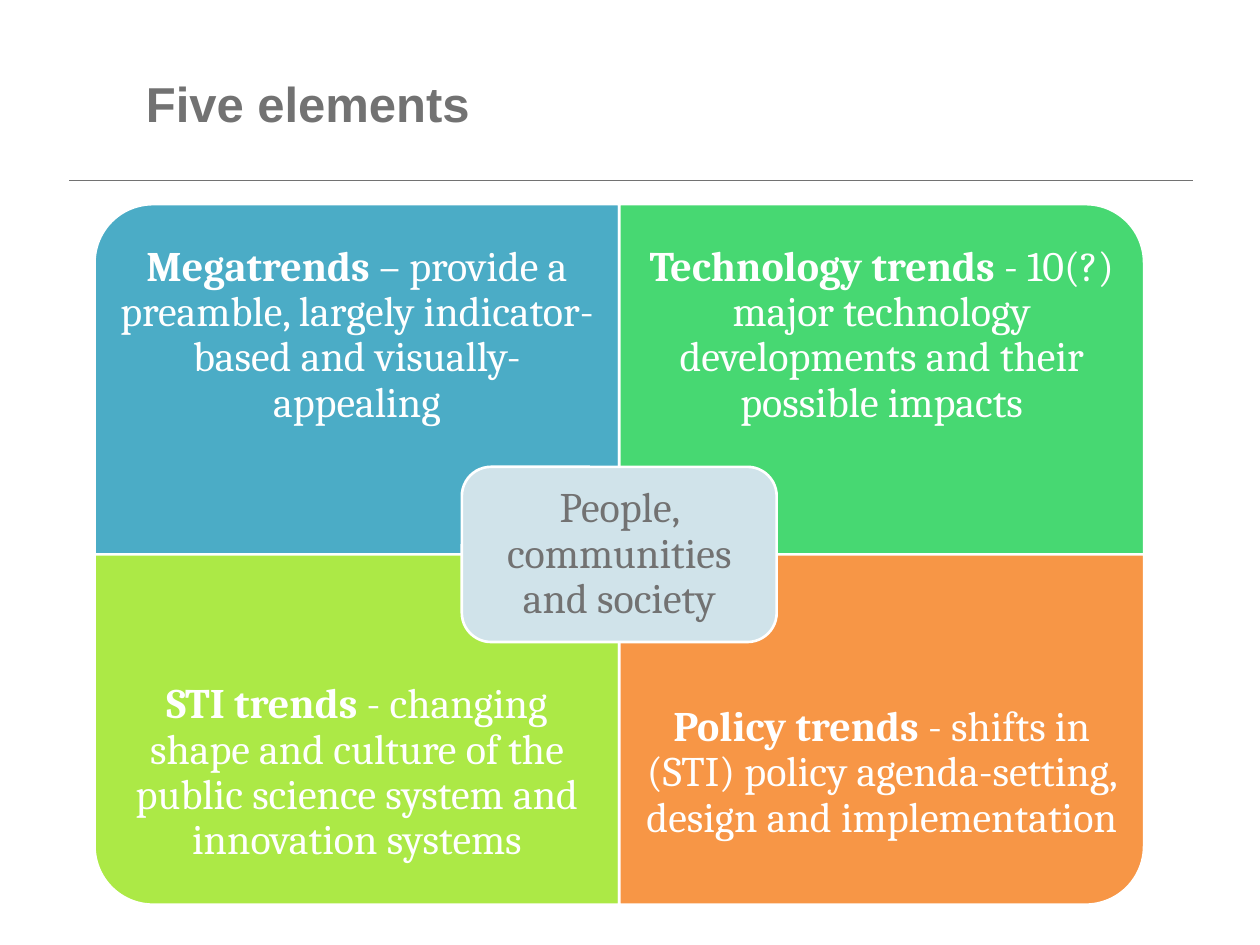
from dataclasses import dataclass
from lxml import etree
from pptx import Presentation
from pptx.dml.color import RGBColor
from pptx.enum.shapes import MSO_CONNECTOR, MSO_SHAPE
from pptx.enum.text import MSO_ANCHOR, PP_ALIGN
from pptx.oxml.ns import qn
from pptx.util import Inches, Pt

ROUND = MSO_SHAPE.ROUNDED_RECTANGLE
CORNER = MSO_SHAPE.ROUND_1_RECTANGLE
LINE = MSO_CONNECTOR.STRAIGHT
MIDDLE = MSO_ANCHOR.MIDDLE
CENTER, LEFT = PP_ALIGN.CENTER, PP_ALIGN.LEFT


@dataclass(frozen=True)
class Theme:
    gray: str = "727272"
    white: str = "FFFFFF"
    blue: str = "4BACC6"
    green: str = "47D872"
    lime: str = "ACE946"
    orange: str = "F79646"
    pale: str = "D0E3EA"
    head: str = "Arial"
    body: str = "Cambria"
    big: float = 28
    text: float = 24
    rule: float = 0.5
    edge: float = 1.5


theme = Theme()
deck = Presentation()
deck.slide_width, deck.slide_height = Inches(10), Inches(7.5)
slide = deck.slides.add_slide(deck.slide_layouts[6])
shapes = slide.shapes


def write(shape, parts, font, size, color, align, inset):
    frame = shape.text_frame
    frame.word_wrap = True
    frame.vertical_anchor = MIDDLE
    frame.margin_left = frame.margin_right = Inches(inset[0])
    frame.margin_top = frame.margin_bottom = Inches(inset[1])
    para = frame.paragraphs[0]
    para.text = parts[0][0]
    for text, _ in parts[1:]:
        para.add_run().text = text
    para.alignment = align
    for run, (_, bold) in zip(para.runs, parts):
        run.font.name = font
        run.font.size = Pt(size)
        run.font.bold = bold
        run.font.color.rgb = RGBColor.from_string(color)
    return para


def panel(kind, mid_x, mid_y, width, height, color):
    shape = shapes.add_shape(
        kind, Inches(mid_x - width / 2), Inches(mid_y - height / 2),
        Inches(width), Inches(height))
    shape.shadow.inherit = False
    shape.fill.solid()
    shape.fill.fore_color.rgb = RGBColor.from_string(color)
    shape.line.color.rgb = RGBColor.from_string(theme.white)
    shape.line.width = Pt(theme.edge)
    return shape


rule = shapes.add_connector(LINE, Inches(0.55), Inches(1.43), Inches(9.47), Inches(1.43))
rule.line.color.rgb = RGBColor.from_string(theme.gray)
rule.line.width = Pt(theme.rule)
etree.SubElement(rule._element.spPr, qn("a:effectLst"))

title = shapes.add_textbox(Inches(1.06), Inches(0.26), Inches(8.82), Inches(1.12))
write(title, [("Five elements", True)], theme.head, theme.big, theme.gray, LEFT, (0.1, 0.05))

left, top, col, row = 0.75, 1.62, 4.165, 2.78
label = row * 0.75
cells = [
    (0, 0, 270, theme.blue, "Megatrends",
     " – provide a preamble, largely indicator-based and visually-appealing"),
    (1, 0, 0, theme.green, "Technology trends ",
     "- 10(?) major technology developments and their possible impacts"),
    (0, 1, 180, theme.lime, "STI trends ",
     "- changing shape and culture of the public science system and innovation systems"),
    (1, 1, 90, theme.orange, "Policy trends ",
     "- shifts in (STI) policy agenda-setting, design and implementation"),
]
for x, y, turn, color, name, note in cells:
    size = (row, col) if turn % 180 else (col, row)
    tile = panel(CORNER, left + (x + 0.5) * col, top + (y + 0.5) * row, *size, color)
    tile.rotation = turn
    box = shapes.add_textbox(
        Inches(left + x * col), Inches(top + y * (2 * row - label)),
        Inches(col), Inches(label))
    para = write(box, [(name, True), (note, False)], theme.body, theme.text,
                 theme.white, CENTER, (0.19, 0.19))
    para.line_spacing = 0.9

core = panel(ROUND, left + col, top + row, col * 0.6, row * 0.5, theme.pale)
para = write(core, [("People, communities and society", False)], theme.body,
             theme.text, theme.gray, CENTER, (0.1, 0.1))
para.line_spacing = 0.9

deck.save("out.pptx")
